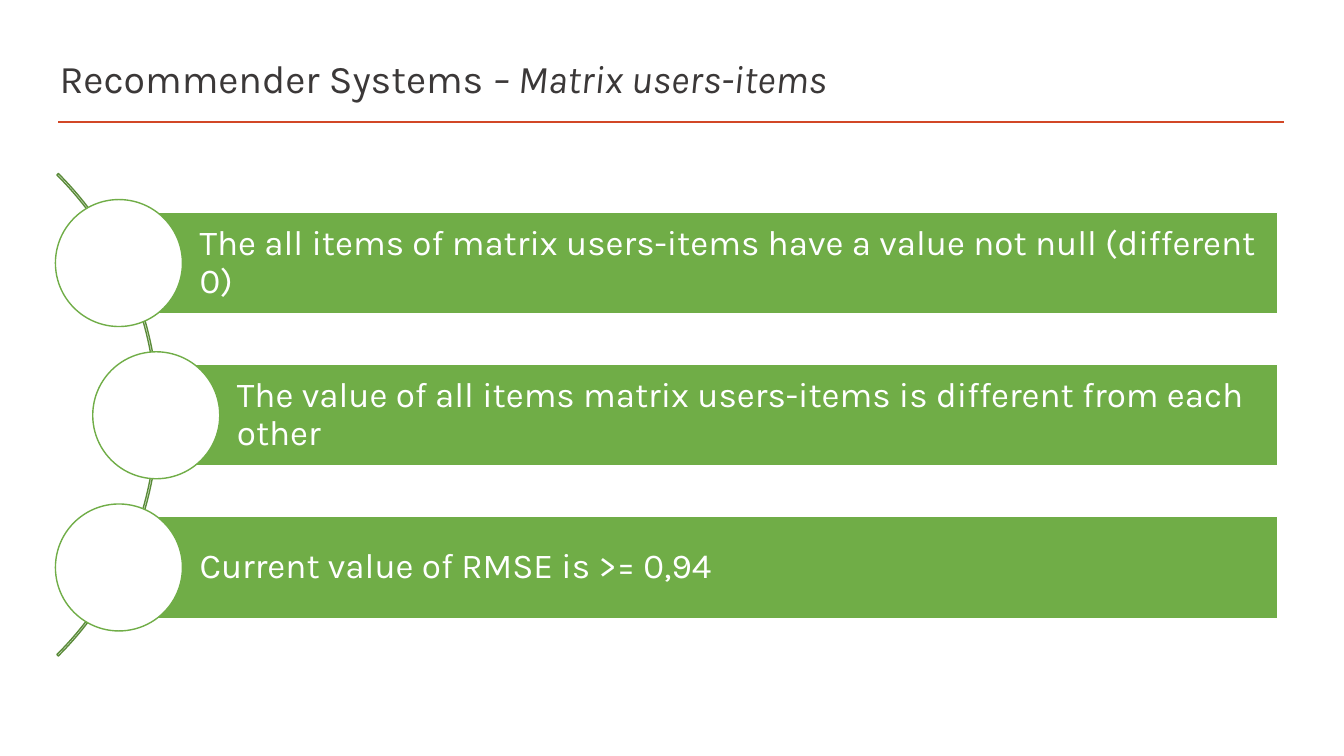
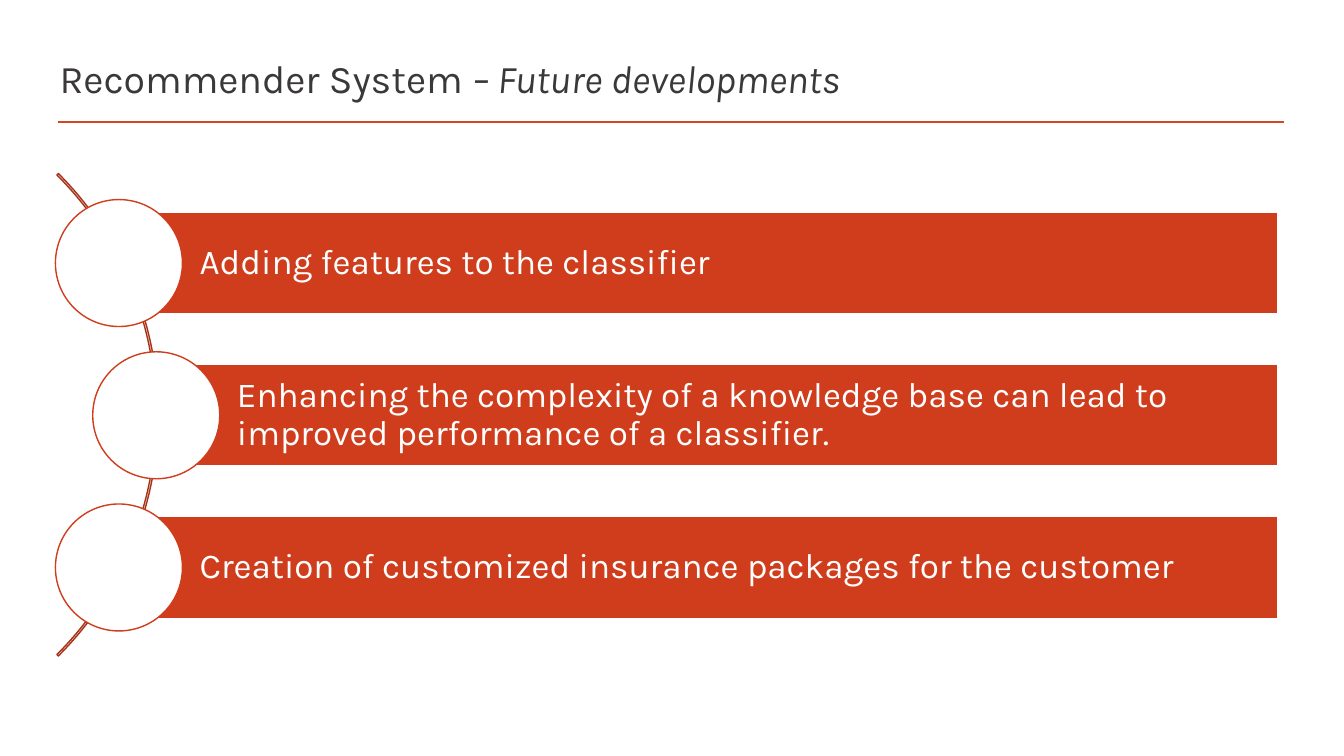
from lxml import etree
from pptx import Presentation
from pptx.dml.color import RGBColor
from pptx.enum.shapes import MSO_CONNECTOR, MSO_SHAPE
from pptx.enum.text import MSO_ANCHOR, MSO_AUTO_SIZE, PP_ALIGN
from pptx.oxml.ns import qn
from pptx.util import Inches, Pt

FONT = "Karla"
WHITE = RGBColor(0xFF, 0xFF, 0xFF)
DARK = RGBColor(0x3B, 0x38, 0x38)
ORANGE = RGBColor(0xD2, 0x47, 0x26)
GREEN = RGBColor(0x70, 0xAD, 0x47)
DARK_GREEN = RGBColor(0x5A, 0x8B, 0x39)
RED = RGBColor(0xCF, 0x3D, 0x1C)
DARK_RED = RGBColor(0xA6, 0x31, 0x16)

SLIDES = [
    ("Recommender Systems ", "– Matrix users-items", GREEN, DARK_GREEN, [
        "The all items of matrix users-items have a value not null (different 0)",
        "The value of all items matrix users-items is different from each other",
        "Current value of RMSE is >= 0,94",
    ]),
    ("Recommender System ", "– Future developments", RED, DARK_RED, [
        "Adding features to the classifier",
        "Enhancing the complexity of a knowledge base can lead to improved performance of a classifier.",
        "Creation of customized insurance packages for the customer",
    ]),
]
CENTERS_X = [1.18, 1.55, 1.18]
FIRST_Y, STEP_Y = 2.61, 1.51
BAR_RIGHT, BAR_H = 12.67, 1.01
CIRCLE = 1.26
ARC_LEFT, ARC_TOP, ARC_SIZE = -5.2, 0.73, 6.77


def add_shape(s, kind, box, fill, line):
    sp = s.shapes.add_shape(kind, *[Inches(v) for v in box])
    sp.shadow.inherit = False
    if fill is None:
        sp.fill.background()
    else:
        sp.fill.solid()
        sp.fill.fore_color.rgb = fill
    sp.line.color.rgb = line
    sp.line.width = Pt(1)
    return sp


def add_run(p, text, size, color, italic=None):
    r = p.add_run()
    r.text = text
    r.font.name = FONT
    r.font.size = Pt(size)
    r.font.color.rgb = color
    r.font.italic = italic


prs = Presentation()
prs.slide_width = Inches(13.33)
prs.slide_height = Inches(7.5)

layout = prs.slide_layouts[5]
title = layout.placeholders[0]
title.left, title.top = Inches(0.49), Inches(0.47)
title.width, title.height = Inches(12.26), Inches(0.61)

for i, (topic, subtopic, color, dark, items) in enumerate(SLIDES):
    s = prs.slides.add_slide(layout)

    if i == 0:
        rule = s.shapes.add_connector(
            MSO_CONNECTOR.STRAIGHT, Inches(0.58), Inches(1.21), Inches(12.74), Inches(1.21))
        rule.line.color.rgb = ORANGE
        rule.line.width = Pt(2)
        etree.SubElement(rule.element.spPr, qn("a:effectLst"))
        layout.shapes.element.append(rule.element)

    tf = s.shapes.title.text_frame
    tf.auto_size = MSO_AUTO_SIZE.NONE
    tf.vertical_anchor = MSO_ANCHOR.MIDDLE
    p = tf.paragraphs[0]
    p.alignment = PP_ALIGN.LEFT
    add_run(p, topic, 28, DARK)
    add_run(p, subtopic, 28, DARK, True)

    arc = add_shape(s, MSO_SHAPE.BLOCK_ARC, (ARC_LEFT, ARC_TOP, ARC_SIZE, ARC_SIZE), None, dark)
    for n, value in enumerate((189, 27, 0.003)):
        arc.adjustments[n] = value

    for row, (x, text) in enumerate(zip(CENTERS_X, items)):
        y = FIRST_Y + row * STEP_Y
        bar = add_shape(s, MSO_SHAPE.RECTANGLE, (x, y - BAR_H / 2, BAR_RIGHT - x, BAR_H), color, WHITE)
        tf = bar.text_frame
        tf.word_wrap = True
        tf.vertical_anchor = MSO_ANCHOR.MIDDLE
        tf.margin_left = Inches(0.8)
        tf.margin_top = tf.margin_right = tf.margin_bottom = Inches(0.07)
        p = tf.paragraphs[0]
        p.alignment = PP_ALIGN.LEFT
        p.line_spacing = 0.9
        add_run(p, text, 25, WHITE)
        add_shape(s, MSO_SHAPE.OVAL, (x - CIRCLE / 2, y - CIRCLE / 2, CIRCLE, CIRCLE), WHITE, color)

prs.save("out.pptx")
